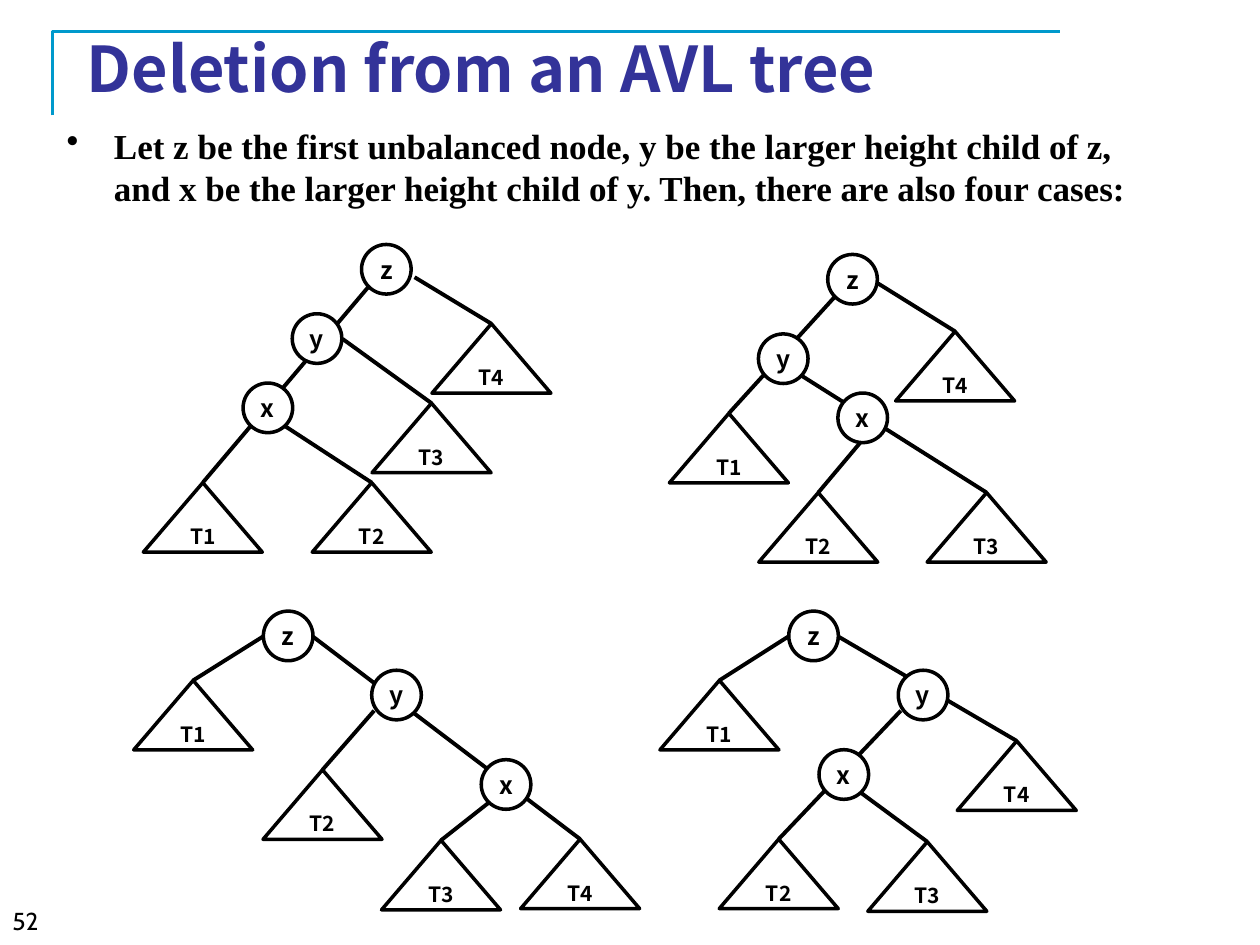
from lxml import etree
from pptx import Presentation
from pptx.dml.color import RGBColor
from pptx.enum.shapes import MSO_CONNECTOR, MSO_SHAPE
from pptx.enum.text import MSO_ANCHOR, PP_ALIGN
from pptx.oxml.ns import qn
from pptx.util import Pt

STRAIGHT = MSO_CONNECTOR.STRAIGHT
CIRCLE, TRIANGLE = MSO_SHAPE.OVAL, MSO_SHAPE.ISOSCELES_TRIANGLE
TOP, MIDDLE = MSO_ANCHOR.TOP, MSO_ANCHOR.MIDDLE
LEFT, CENTER, JUSTIFY = PP_ALIGN.LEFT, PP_ALIGN.CENTER, PP_ALIGN.JUSTIFY

COLORS = {"ink": "000000", "paper": "FFFFFF", "title": "333399", "frame": "0099CC"}
SANS, SERIF, NUMBER = "Noto Sans CJK KR", "Times New Roman", "Cabin"
NODE_SIZE = 28.35
SUBTREE_WIDTH, SUBTREE_HEIGHT = 68, 39.7

# Each case: node centres, then per subtree its apex and the start of its edge
CASES = [
    {  # left-left
        "nodes": {"z": (220.8, 153.9), "y": (181.2, 193.5), "x": (153.1, 233.1)},
        "subtrees": {
            "T1": ((115.9, 275.8), (211, 163.4)),
            "T2": ((212.4, 275.8), (162.7, 243.4)),
            "T3": ((246.6, 230.4), (195.8, 193.7)),
            "T4": ((280.8, 185), (236.9, 158.4)),
        },
    },
    {  # left-right
        "nodes": {"z": (487.2, 159.6), "y": (447.6, 205), "x": (493, 238.8)},
        "subtrees": {
            "T1": ((416.5, 236.2), (477.4, 169.2)),
            "T2": ((467.6, 281.5), (491.8, 252.7)),
            "T3": ((563.8, 281.5), (457.9, 214.6)),
            "T4": ((545.8, 189.4), (501.8, 162)),
        },
    },
    {  # right-right
        "nodes": {"z": (164.7, 363.4), "y": (226.6, 397.2), "x": (289.2, 448.3)},
        "subtrees": {
            "T1": ((110.4, 388.8), (150.5, 363.6)),
            "T2": ((184.3, 439.9), (213.8, 406.1)),
            "T3": ((252, 480.2), (279.4, 458.6)),
            "T4": ((331.5, 479.5), (178.6, 363.6)),
        },
    },
    {  # right-left
        "nodes": {"z": (464.9, 363.4), "y": (527.5, 397.2), "x": (482.2, 442.6)},
        "subtrees": {
            "T1": ((411.1, 388.8), (450.7, 363.6)),
            "T2": ((445, 479.5), (514.8, 406.1)),
            "T3": ((529.9, 481), (491.8, 452.9)),
            "T4": ((581, 423.4), (478.8, 363.6)),
        },
    },
]


def color(name):
    return RGBColor.from_string(COLORS[name])


def set_line(shape, name, width):
    shape.line.color.rgb = color(name)
    shape.line.width = Pt(width)


def write(shape, text, size, font, ink="ink", bold=True, align=LEFT, anchor=TOP, wrap=True):
    frame = shape.text_frame
    frame.word_wrap = wrap
    frame.vertical_anchor = anchor
    para = frame.paragraphs[0]
    para.text = text
    para.alignment = align
    para.font.size = Pt(size)
    para.font.name = font
    para.font.bold = bold
    para.font.color.rgb = color(ink)


def add_text(page, left, top, width, height, text, size, font, bullet=False, **style):
    box = page.shapes.add_textbox(Pt(left), Pt(top), Pt(width), Pt(height))
    if bullet:
        properties = box.text_frame.paragraphs[0]._p.get_or_add_pPr()
        properties.set("marL", str(Pt(27)))
        properties.set("indent", str(-Pt(27)))
        etree.SubElement(properties, qn("a:buChar")).set("char", "•")
    write(box, text, size, font, **style)


def add_frame(page):
    builder = page.shapes.build_freeform(Pt(30), Pt(66), scale=1.0)
    builder.add_line_segments([(Pt(30), Pt(18)), (Pt(606), Pt(18))], close=False)
    frame = builder.convert_to_shape()
    frame.shadow.inherit = False
    frame.fill.background()
    set_line(frame, "frame", 1.5)


def add_edge(page, start, end):
    edge = page.shapes.add_connector(STRAIGHT, *map(Pt, start + end))
    set_line(edge, "ink", 2.25)
    etree.SubElement(edge._element.spPr, qn("a:effectLst"))


def add_outlined(page, kind, left, top, width, height, label, size, anchor):
    shape = page.shapes.add_shape(kind, Pt(left), Pt(top), Pt(width), Pt(height))
    shape.shadow.inherit = False
    shape.fill.solid()
    shape.fill.fore_color.rgb = color("paper")
    set_line(shape, "ink", 2)
    write(shape, label, size, SANS, align=CENTER, anchor=anchor, wrap=False)


def add_tree(page, nodes, subtrees):
    # Edges lie behind the nodes, so one edge may pass through several
    for apex, start in subtrees.values():
        add_edge(page, start, apex)
    for label, ((x, y), _) in subtrees.items():
        add_outlined(page, TRIANGLE, x - SUBTREE_WIDTH / 2, y,
                     SUBTREE_WIDTH, SUBTREE_HEIGHT, label, 12, TOP)
    for label, (x, y) in nodes.items():
        add_outlined(page, CIRCLE, x - NODE_SIZE / 2, y - NODE_SIZE / 2,
                     NODE_SIZE, NODE_SIZE, label, 14, MIDDLE)


def main():
    deck = Presentation()
    deck.slide_width, deck.slide_height = Pt(720), Pt(540)
    page = deck.slides.add_slide(deck.slide_layouts[6])

    # Frame, page number, title and statement
    add_frame(page)
    add_text(page, 0, 514, 225, 26, "52", 14, NUMBER, bold=False)
    add_text(page, 42.5, 21.6, 612, 34, "Deletion from an AVL tree", 36, SANS,
             ink="title", align=JUSTIFY, anchor=MIDDLE)
    add_text(page, 31, 67.7, 631, 55.4,
             "Let z be the first unbalanced node, y be the larger height child of z, "
             "and x be the larger height child of y. Then, there are also four cases:",
             20, SERIF, bullet=True)

    # The four unbalanced cases
    for case in CASES:
        add_tree(page, **case)

    deck.save("out.pptx")


if __name__ == "__main__":
    main()
